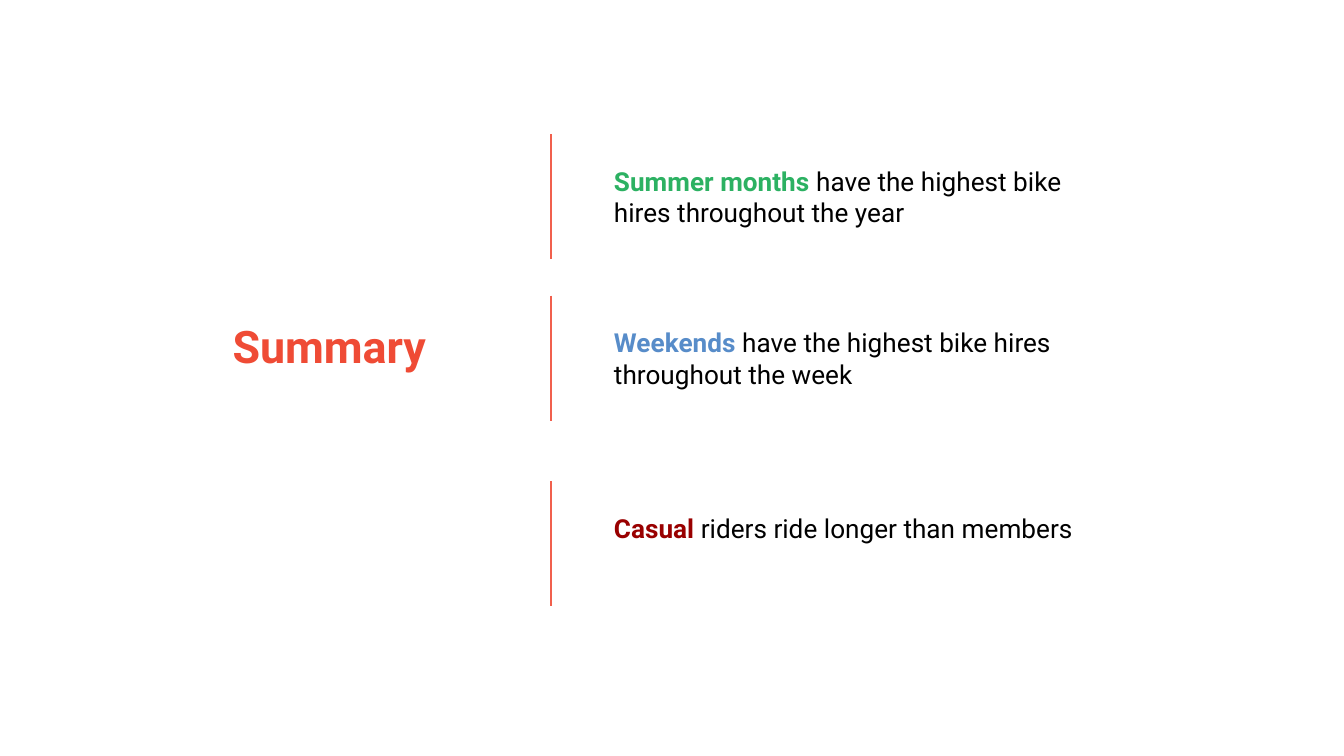
import pptx
import pptx.dml.color
import pptx.enum.shapes
import pptx.enum.text
import pptx.oxml.ns
import pptx.util
from dataclasses import dataclass
from lxml import etree
from pptx.util import Inches


@dataclass(frozen=True)
class Theme:
    font: str = "Roboto"
    title: str = "EF4B35"
    rule: str = "F1604D"
    body: str = "000000"
    summer: str = "2CB162"
    weekend: str = "578CC9"
    casual: str = "990000"
    title_size: int = 24
    body_size: int = 14
    rule_width: float = 0.75


THEME = Theme()
RULE_X = 4.1
RULE_HEIGHT = 0.93
TEXT_X = 4.47
TEXT_WIDTH = 3.86
TEXT_OFFSET = 0.13

FINDINGS = [
    (1, 0.91, "Summer months ", "have the highest bike hires throughout the year", THEME.summer),
    (2.2, 0.91, "Weekends ", "have the highest bike hires throughout the week", THEME.weekend),
    (3.58, 0.67, "Casual ", "riders ride longer than members", THEME.casual),
]


def rgb(value):
    return pptx.dml.color.RGBColor.from_string(value)


def add_run(p, text, *, size, color, bold=False):
    r = p.add_run()
    r.text = text
    r.font.name = THEME.font
    r.font.size = pptx.util.Pt(size)
    r.font.bold = bold
    r.font.color.rgb = rgb(color)


def add_text_box(s, left, top, width, height, inset):
    tf = s.shapes.add_textbox(Inches(left), Inches(top), Inches(width), Inches(height)).text_frame
    tf.word_wrap = True
    tf.vertical_anchor = pptx.enum.text.MSO_ANCHOR.TOP
    tf.margin_left = tf.margin_top = tf.margin_right = tf.margin_bottom = Inches(inset)
    return tf.paragraphs[0]


def add_rule(s, top):
    line = s.shapes.add_connector(
        pptx.enum.shapes.MSO_CONNECTOR.STRAIGHT,
        Inches(RULE_X), Inches(top), Inches(RULE_X), Inches(top + RULE_HEIGHT),
    )
    line.line.color.rgb = rgb(THEME.rule)
    line.line.width = pptx.util.Pt(THEME.rule_width)
    etree.SubElement(line._element.spPr, pptx.oxml.ns.qn("a:effectLst"))


def add_finding(s, top, height, lead, rest, color):
    add_rule(s, top)
    p = add_text_box(s, TEXT_X, top + TEXT_OFFSET, TEXT_WIDTH, height, 0.1)
    add_run(p, lead, size=THEME.body_size, color=color, bold=True)
    add_run(p, rest, size=THEME.body_size, color=THEME.body)


def main():
    prs = pptx.Presentation()
    prs.slide_width = Inches(10)
    prs.slide_height = prs.slide_width * 9 // 16
    s = prs.slides.add_slide(prs.slide_layouts[6])
    p = add_text_box(s, 1.73, 2.37, 1.68, 0.6, 0)
    add_run(p, "Summary", size=THEME.title_size, color=THEME.title, bold=True)
    for finding in FINDINGS:
        add_finding(s, *finding)
    prs.save("out.pptx")


if __name__ == "__main__":
    main()
